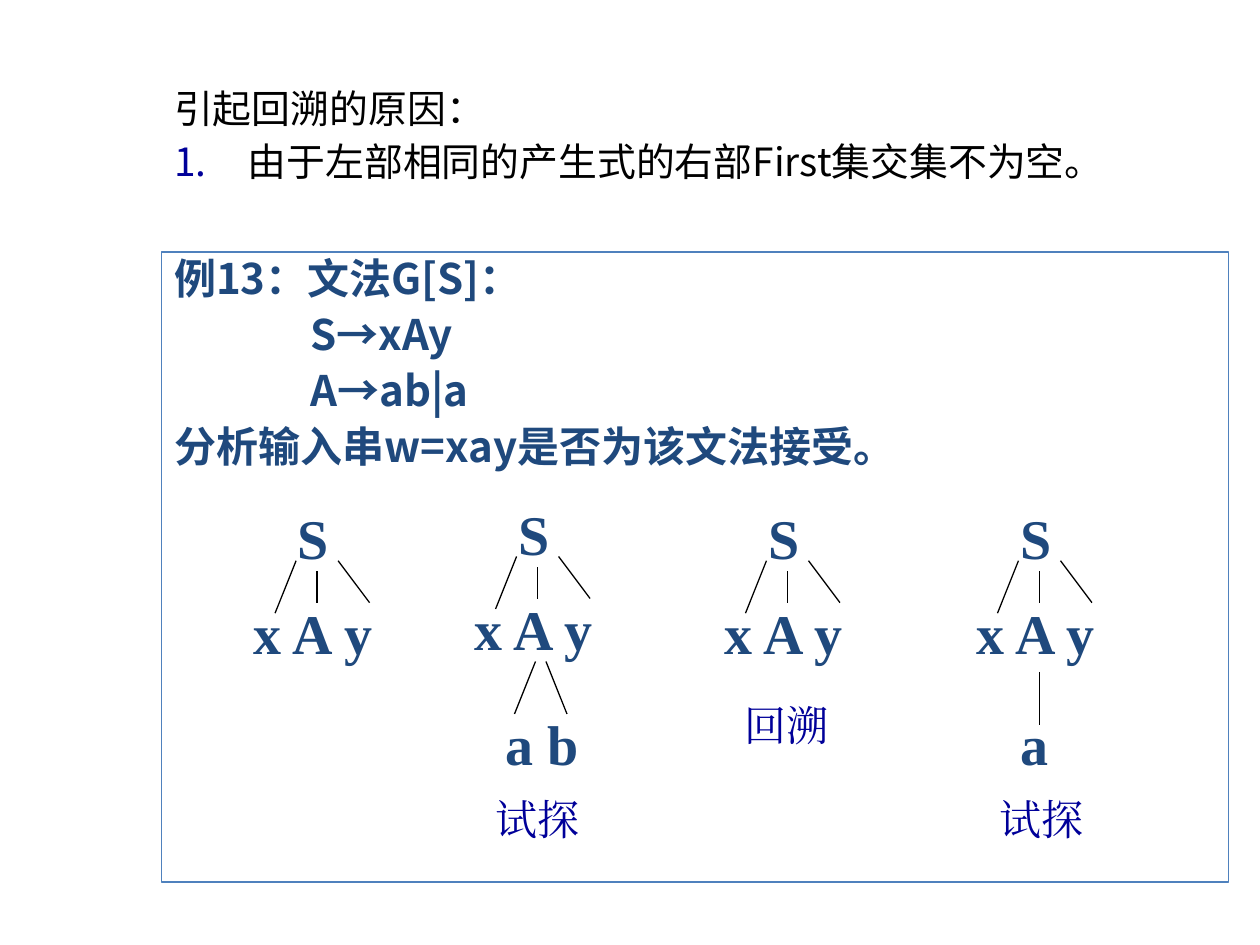
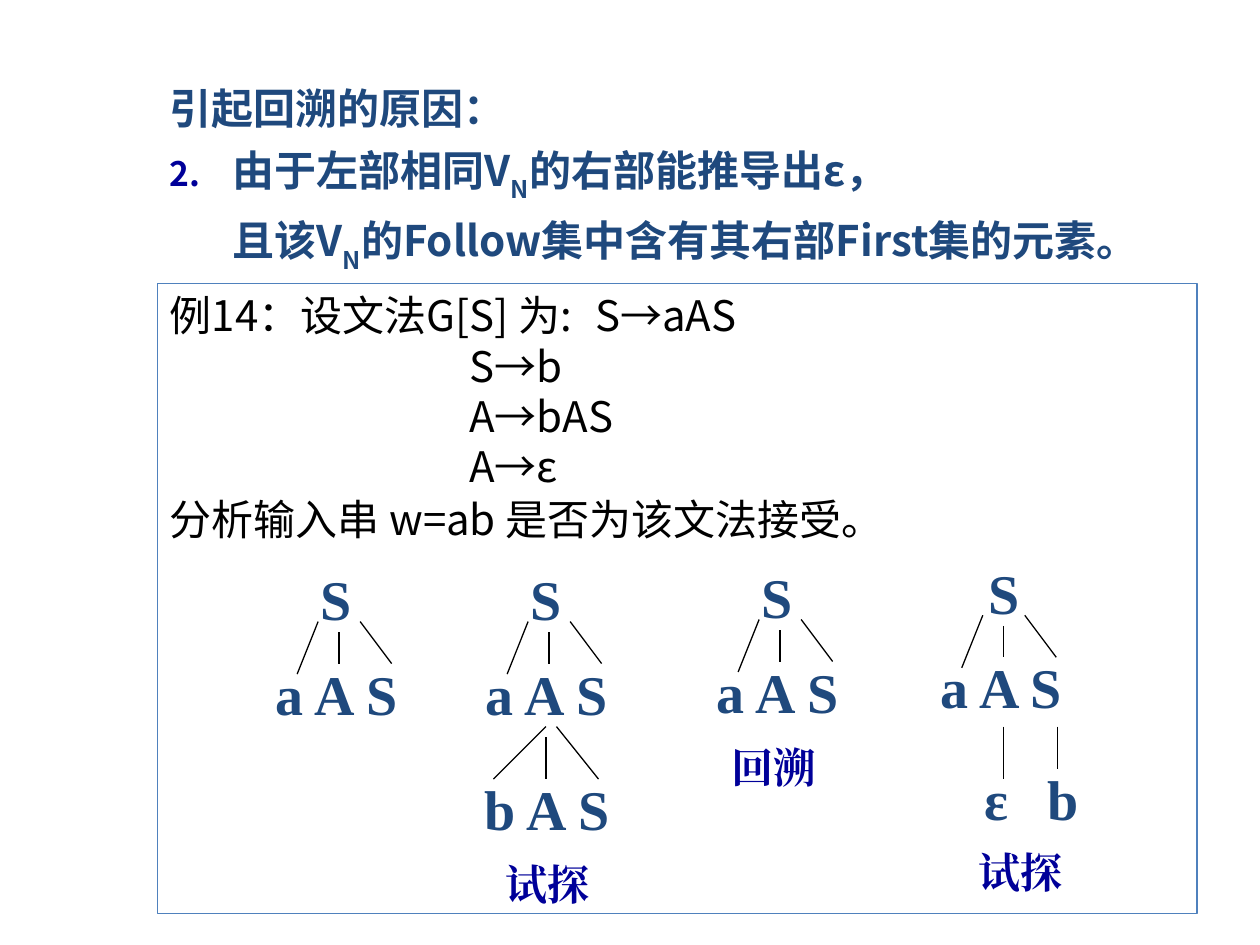
from lxml import etree
from pptx import Presentation
from pptx.dml.color import RGBColor
from pptx.enum.shapes import MSO_CONNECTOR, MSO_SHAPE
from pptx.enum.text import MSO_ANCHOR, MSO_AUTO_SIZE, PP_ALIGN
from pptx.oxml.ns import qn
from pptx.util import Pt

PX = 7620  # 120 px to the inch
INCH = 120
COLORS = {"text": "000000", "navy": "1F497D", "accent": "000099", "border": "4F81BD"}
SANS, SERIF = "Noto Sans CJK SC", "Times New Roman"
SYMBOL = dict(size=32, color="navy", font=SERIF, bold=True, wrap=False)


def write(shape, lines, size, color, font, bold=False, wrap=True, grow=True,
          hang=0, line_spacing=None, before=0, number=None, number_size=None):
    """Fill a shape with paragraphs; text between ~ marks is subscript.

    number is the ordinal shown on the second paragraph.
    """
    frame = shape.text_frame
    frame.word_wrap = wrap
    frame.auto_size = MSO_AUTO_SIZE.SHAPE_TO_FIT_TEXT if grow else MSO_AUTO_SIZE.NONE
    frame.vertical_anchor = MSO_ANCHOR.TOP
    for index, line in enumerate(lines):
        paragraph = frame.paragraphs[0] if index == 0 else frame.add_paragraph()
        if "~" in line:
            for piece_index, piece in enumerate(line.split("~")):
                run = paragraph.add_run()
                run.text = piece
                if piece_index % 2:
                    run.font._element.set("baseline", "-30000")
        else:
            paragraph.text = line
        paragraph.alignment = PP_ALIGN.LEFT
        paragraph.space_before = Pt(before)
        if line_spacing:
            paragraph.line_spacing = line_spacing
        paragraph.font.size = Pt(size)
        paragraph.font.bold = bold
        paragraph.font.name = font
        paragraph.font.color.rgb = RGBColor.from_string(COLORS[color])

        # East Asian font, hanging indent, number and tab stops
        properties = paragraph._p.get_or_add_pPr()
        defaults = properties.find(qn("a:defRPr"))
        etree.SubElement(defaults, qn("a:ea"), typeface=font)
        if not hang:
            continue
        properties.set("marL", str(hang * PX))
        properties.set("indent", str(-hang * PX))
        numbered = number is not None and index == 1
        extras = []
        if numbered:
            number_color = etree.Element(qn("a:buClr"))
            etree.SubElement(number_color, qn("a:srgbClr"), val=COLORS["accent"])
            extras.append(number_color)
            if number_size:
                extras.append(etree.Element(qn("a:buSzPct"), val=str(number_size * 1000)))
            extras.append(etree.Element(qn("a:buAutoNum"), type="arabicPeriod",
                                        startAt=str(number)))
        else:
            extras.append(etree.Element(qn("a:buNone")))
        tabs = etree.Element(qn("a:tabLst"))
        for stop in range(8):
            etree.SubElement(tabs, qn("a:tab"), pos=str((stop + numbered) * INCH * PX), algn="l")
        for extra in extras + [tabs]:
            defaults.addprevious(extra)


# Content of the slides. Each tree: middle branch x, top, root x, then the lower
# branches (x1, y1, x2, y2), lower symbols (text, x, y, width) and the caption.
SLIDES = [
    dict(
        heading=["引起回溯的原因：", "由于左部相同的产生式的右部First集交集不为空。"],
        heading_box=(154, 80, 1016, 130),
        heading_style=dict(size=22.2, color="text", font=SANS, grow=False, hang=70,
                           line_spacing=0.9, before=6, number=1),
        example=["例13：文法G[S]：", "\t\tS→xAy", "\t\tA→ab|a",
                 "分析输入串w=xay是否为该文法接受。"],
        example_box=(154, 240, 1016, 600),
        example_style=dict(size=24, color="navy", font=SANS, bold=True, grow=False,
                           hang=70, line_spacing=0.9, before=6),
        children=("x A y", 143),
        caption_bold=False,
        trees=[
            (302, 474, 272, [], [], None),
            (512, 470, 482, [(510, 630, 490, 680), (520, 630, 540, 680)],
             [("a b", 470, 670, 94)], ("试探", 460, 750, 130)),
            (750, 474, 720, [], [], ("回溯", 697, 660, 110)),
            (990, 474, 960, [(990, 640, 990, 690)],
             [("a", 960, 670, 50)], ("试探", 940, 750, 130)),
        ],
    ),
    dict(
        heading=["引起回溯的原因：", "由于左部相同V~N~的右部能推导出ε，",
                 "\t且该V~N~的Follow集中含有其右部First集的元素。"],
        heading_box=(150, 68, 1020, 199),
        heading_style=dict(size=24, color="navy", font=SANS, bold=True, hang=60,
                           line_spacing=1.1, before=3, number=2, number_size=80),
        example=["例14：设文法G[S] 为:\tS→aAS\n\t\t\t\tS→b\n\t\t\t\tA→bAS\n\t\t\t\tA→ε",
                 "分析输入串 w=ab 是否为该文法接受。"],
        example_box=(150, 270, 990, 600),
        example_style=dict(size=24, color="text", font=SANS, grow=False, hang=45, before=1.5),
        children=("a A S", 145),
        caption_bold=True,
        trees=[
            (323, 532, 293, [], [], None),
            (523, 532, 493,
             [(520, 692, 470, 742), (520, 702, 520, 742), (530, 692, 570, 742)],
             [("b A S", 450, 732, 149)], ("试探", 470, 812, 160)),
            (743, 530, 713, [], [], ("回溯", 685, 700, 110)),
            (956, 526, 930, [(956, 692, 956, 742), (1007, 692, 1007, 732)],
             [("ε", 926, 722, 47), ("b", 986, 722, 54)], ("试探", 920, 800, 110)),
        ],
    ),
]

deck = Presentation()
deck.slide_width, deck.slide_height = 1200 * PX, 900 * PX

for content in SLIDES:
    slide = deck.slides.add_slide(deck.slide_layouts[6])

    # Framed example
    example = slide.shapes.add_shape(MSO_SHAPE.RECTANGLE,
                                     *(v * PX for v in content["example_box"]))
    example.shadow.inherit = False
    example.fill.background()
    example.line.color.rgb = RGBColor.from_string(COLORS["border"])
    example.line.width = Pt(0.75)
    write(example, content["example"], **content["example_style"])

    # Cause of backtracking
    heading = slide.shapes.add_textbox(*(v * PX for v in content["heading_box"]))
    write(heading, content["heading"], **content["heading_style"])

    # Derivation trees
    children, children_width = content["children"]
    for middle, top, root_x, lower_branches, lower_symbols, caption in content["trees"]:
        tree = slide.shapes.add_group_shape().shapes
        symbols = [("S", root_x, top, 54),
                   (children, middle - 72, top + 90, children_width)] + lower_symbols
        for text, x, y, width in symbols:
            symbol = tree.add_textbox(x * PX, y * PX, width * PX, 77 * PX)
            write(symbol, [text], **SYMBOL)

        branches = [(middle - 20, top + 60, middle - 40, top + 110),
                    (middle, top + 70, middle, top + 100),
                    (middle + 20, top + 60, middle + 50, top + 100)] + lower_branches
        for ends in branches:
            branch = tree.add_connector(MSO_CONNECTOR.STRAIGHT, *(v * PX for v in ends))
            branch.line.color.rgb = RGBColor.from_string(COLORS["text"])
            branch.line.width = Pt(0.75)
            etree.SubElement(branch._element.spPr, qn("a:effectLst"))

        if caption:
            text, x, y, width = caption
            step = tree.add_textbox(x * PX, y * PX, width * PX, 60 * PX)
            write(step, [text], size=24, color="accent", font=SERIF,
                  bold=content["caption_bold"])

deck.save("out.pptx")
